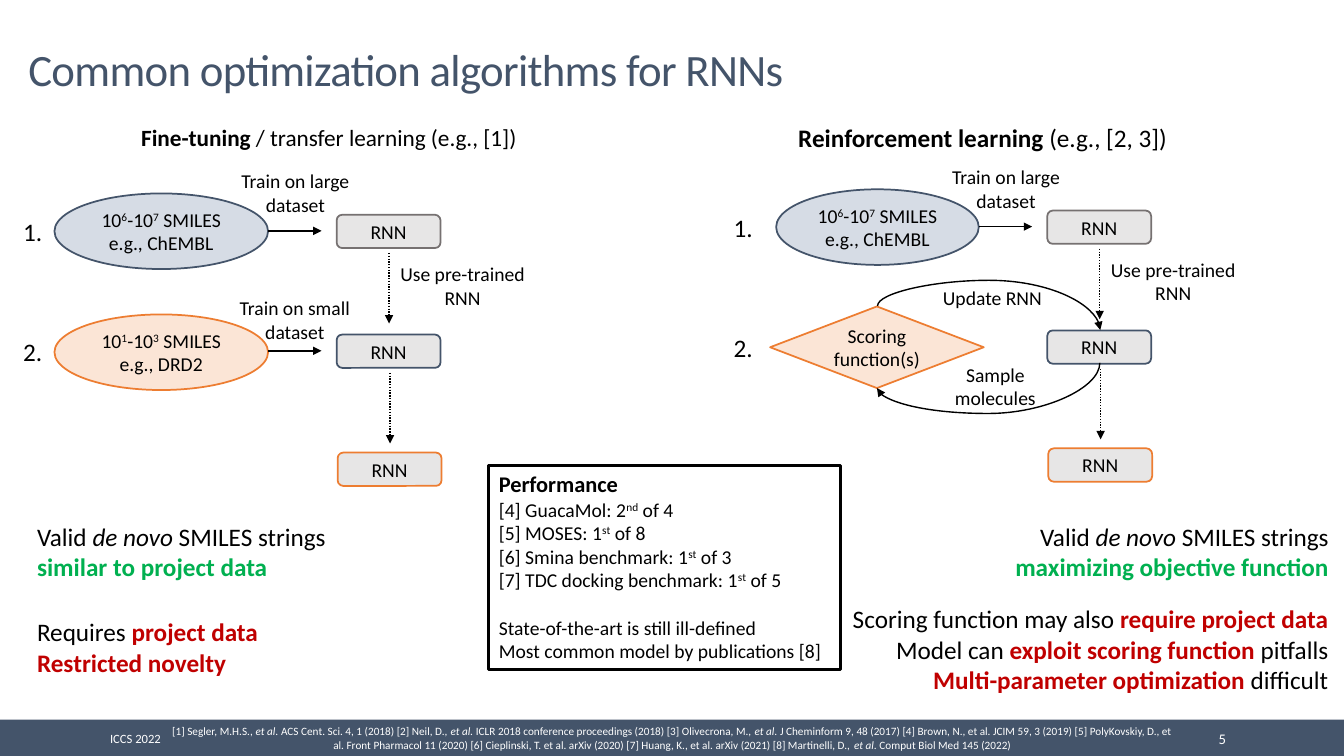
import pptx
import pptx.util
import pptx.dml.color
import pptx.enum.dml
import pptx.enum.shapes
import pptx.enum.text
import pptx.oxml.ns
import lxml.etree

Pt = pptx.util.Pt
SHAPE = pptx.enum.shapes.MSO_SHAPE
CONNECTOR = pptx.enum.shapes.MSO_CONNECTOR
ALIGN = pptx.enum.text.PP_ALIGN
ANCHOR = pptx.enum.text.MSO_ANCHOR

BLACK, WHITE, NAVY, ORANGE, GREY = "000000", "FFFFFF", "44546A", "ED7D31", "767171"
PALE_BLUE, PALE_ORANGE, PALE_GREY = "D6DCE5", "FBE5D6", "E7E6E6"
GREEN, RED = "00B050", "C00000"


def rgb(value):
    return pptx.dml.color.RGBColor.from_string(value)


def add_xml(parent, tag, **attrs):
    return lxml.etree.SubElement(parent, pptx.oxml.ns.qn(tag), attrs)


class SlideBuilder:
    """Holds the slide and its style, and adds one kind of element per method."""

    def __init__(self, prs, font="Calibri"):
        self.slide = prs.slides.add_slide(prs.slide_layouts[5])
        self.font = font

    def style(self, font, size, color, bold=None):
        font.name, font.size, font.bold = self.font, Pt(size), bold
        font.color.rgb = rgb(color)

    def set_text(self, tf, paragraphs, size=14, color=BLACK, align=ALIGN.CENTER,
                 anchor=ANCHOR.TOP, wrap=True, spacing=None):
        tf.word_wrap, tf.vertical_anchor = wrap, anchor
        tf.auto_size = pptx.enum.text.MSO_AUTO_SIZE.NONE
        for i, runs in enumerate(paragraphs):
            p = tf.paragraphs[0] if i == 0 else tf.add_paragraph()
            p.alignment, p.line_spacing = align, spacing
            self.style(p.font, size, color)
            for run in [runs] if isinstance(runs, str) else runs:
                text, look = (run, "") if isinstance(run, str) else run
                r = p.add_run()
                r.text = text
                if look in (GREEN, RED):
                    r.font.bold, r.font.color.rgb = True, rgb(look)
                elif look == "bold":
                    r.font.bold = True
                elif look == "italic":
                    r.font.italic = True
                elif look == "super":
                    r._r.get_or_add_rPr().set("baseline", "30000")

    def title(self, text, x, y, w, h):
        sp = self.slide.shapes.title
        sp.left, sp.top, sp.width, sp.height = Pt(x), Pt(y), Pt(w), Pt(h)
        self.set_text(sp.text_frame, [text], 32, NAVY, ALIGN.LEFT, ANCHOR.MIDDLE, spacing=0.85)
        sp.text_frame.paragraphs[0].runs[0]._r.get_or_add_rPr().set("spc", "-50")

    def text(self, x, y, w, h, paragraphs, inset=None, **style):
        tf = self.slide.shapes.add_textbox(Pt(x), Pt(y), Pt(w), Pt(h)).text_frame
        if inset is not None:
            tf.margin_left = tf.margin_right = Pt(inset)
        self.set_text(tf, paragraphs, **style)

    def shape(self, kind, x, y, w, h, fill=None, line=None, width=1.25, paragraphs=(),
              anchor=ANCHOR.MIDDLE, **style):
        sp = self.slide.shapes.add_shape(kind, Pt(x), Pt(y), Pt(w), Pt(h))
        sp.shadow.inherit = False
        if fill:
            sp.fill.solid()
            sp.fill.fore_color.rgb = rgb(fill)
        else:
            sp.fill.background()
        if line:
            sp.line.color.rgb, sp.line.width = rgb(line), Pt(width)
        else:
            sp.line.fill.background()
        self.set_text(sp.text_frame, paragraphs, anchor=anchor, **style)
        return sp

    def arrow(self, x1, y1, x2, y2, dotted=False, kind=CONNECTOR.STRAIGHT):
        cxn = self.slide.shapes.add_connector(kind, Pt(x1), Pt(y1), Pt(x2), Pt(y2))
        cxn.line.color.rgb, cxn.line.width = rgb(BLACK), Pt(1)
        if dotted:
            cxn.line.dash_style = pptx.enum.dml.MSO_LINE.ROUND_DOT
        spPr = cxn._element.spPr
        add_xml(spPr.get_or_add_ln(), "a:tailEnd", type="triangle")
        add_xml(spPr, "a:effectLst")
        return cxn

    def curve(self, x1, y1, x2, y2, degrees, bend):
        spPr = self.arrow(x1, y1, x2, y2, kind=CONNECTOR.CURVE)._element.spPr
        spPr.find(pptx.oxml.ns.qn("a:xfrm")).set("rot", str(degrees * 60000))
        guides = spPr.find(".//" + pptx.oxml.ns.qn("a:avLst"))
        add_xml(guides, "a:gd", name="adj1", fmla=f"val {bend}")


def smiles(low, high, source):
    return [["10", (low, "super"), "-10", (high, "super"), " SMILES"], f"e.g., {source}"]


def draw_pipeline(s, dx, dy, ellipse_x, ellipse_w):
    s.shape(SHAPE.OVAL, ellipse_x, 138.2 + dy, ellipse_w, 54, PALE_BLUE, NAVY,
            paragraphs=smiles("6", "7", "ChEMBL"))
    for x, y, line in ((240.5, 153.4, GREY), (240.5, 239, NAVY), (241.2, 323.3, ORANGE)):
        s.shape(SHAPE.ROUNDED_RECTANGLE, x + dx, y + dy, 74.2, 23.8, PALE_GREY, line,
                paragraphs=["RNN"])
    for number, y in (("1.", 151.2), ("2.", 236.9)):
        s.text(9.4 + dx, y + dy, 28.1, 28.8, [number], size=18, align=ALIGN.LEFT, wrap=False)
    s.arrow(191.5 + dx, 164.9 + dy, 229.7 + dx, 164.9 + dy)
    for x, y in ((277.9, 180.7), (278.6, 266.4)):
        s.arrow(x + dx, y + dy, x + dx, y + dy + 50.4, dotted=True)
    s.text(164.9 + dx, 117.4 + dy, 92.2, 41, ["Train on large dataset"])
    s.text(277.9 + dx, 183.6 + dy, 105.1, 41, ["Use pre-trained", "RNN"])


def draw_headings(s):
    s.title("Common optimization algorithms for RNNs", 13, 16.6, 935.3, 70.6)
    for x, w, size, name, rest in (
            (100.8, 281.5, 16.6, "Fine-tuning", " / transfer learning (e.g., [1])"),
            (570.2, 288, 18, "Reinforcement learning", " (e.g., [2, 3])")):
        s.text(x, 86.4, w, 27.4, [[(name, "bold"), rest]], inset=0, size=size,
               align=ALIGN.LEFT, spacing=0.9)


def draw_fine_tuning(s):
    draw_pipeline(s, 0, 0, 38.9, 152.6)
    s.shape(SHAPE.OVAL, 38.9, 224.6, 152.6, 54, PALE_ORANGE, ORANGE,
            paragraphs=smiles("1", "3", "DRD2"))
    s.arrow(191.5, 250.6, 229.7, 250.6)
    s.text(162.7, 208.1, 95.8, 41, ["Train on small", "dataset"])


def draw_reinforcement(s):
    draw_pipeline(s, 507.6, -3, 554.4, 144.7)
    s.shape(SHAPE.DIAMOND, 550.1, 218.9, 152.6, 58.3, PALE_ORANGE, ORANGE,
            paragraphs=["Scoring function(s)"])
    s.curve(697, 188.6, 715, 347.8, 90, 200800)
    s.curve(715, 147.6, 697.7, 306.7, 270, -105600)
    s.text(663.1, 255.6, 95.8, 41, ["Sample molecules"])
    s.text(661, 200.9, 95.8, 24.5, ["Update RNN"])


def draw_verdicts(s):
    valid = ["Valid ", ("de novo ", "italic"), "SMILES strings "]
    for x, y, w, h, align, paragraphs in (
            (19.4, 368.6, 226.1, 51.1, ALIGN.LEFT,
             [valid + [("similar to project data", GREEN)]]),
            (711.4, 368.6, 244.8, 51.1, ALIGN.RIGHT,
             [valid + [("maximizing objective function", GREEN)]]),
            (19.4, 437, 226.1, 51.1, ALIGN.LEFT,
             [["Requires ", ("project data", RED)], [("Restricted novelty", RED)]]),
            (599.8, 427.7, 356, 72.7, ALIGN.RIGHT,
             [["Scoring function may also ", ("require project data", RED)],
              ["Model can ", ("exploit scoring function", RED), " pitfalls"],
              [("Multi-parameter optimization", RED), " difficult"]])):
        s.text(x, y, w, h, paragraphs, size=18, align=align)


def draw_performance(s):
    ranks = (("[4] GuacaMol: 2", "nd", 4), ("[5] MOSES: 1", "st", 8),
             ("[6] Smina benchmark: 1", "st", 3), ("[7] TDC docking benchmark: 1", "st", 5))
    rows = [[name, (suffix, "super"), f" of {total}"] for name, suffix, total in ranks]
    sp = s.shape(SHAPE.RECTANGLE, 349.2, 332.6, 251.3, 145.4, line=BLACK, width=2.25,
                 paragraphs=["Performance", *rows, "State-of-the-art is still ill-defined",
                             "Most common model by publications [8]"],
                 anchor=ANCHOR.TOP, align=ALIGN.LEFT)
    heading, closing = sp.text_frame.paragraphs[0], sp.text_frame.paragraphs[5]
    s.style(heading.font, 16, BLACK, bold=True)
    closing.space_before = Pt(17)


def draw_footer(s):
    s.shape(SHAPE.RECTANGLE, 0, 514.1, 960, 25.9, NAVY)
    s.text(25.9, 518.4, 141.8, 18.7, ["ICCS 2022"], size=9, color=WHITE, anchor=ANCHOR.MIDDLE)
    s.text(779.8, 518.4, 103, 18.7, ["5"], size=10.5, color=WHITE, align=ALIGN.RIGHT,
           anchor=ANCHOR.MIDDLE)
    et_al = ("et al. ", "italic")
    references = [
        "[1] Segler, M.H.S., ", et_al, "ACS Cent. Sci. 4, 1 (2018) [2] Neil, D., ", et_al,
        "ICLR 2018 conference proceedings (2018) [3] Olivecrona, M., ", et_al,
        "J Cheminform 9, 48 (2017) [4] Brown, N., et al. JCIM 59, 3 (2019) "
        "[5] PolyKovskiy, D., et al. Front Pharmacol 11 (2020) "
        "[6] Cieplinski, T. et al. arXiv (2020) [7] Huang, K., et al. arXiv (2021) "
        "[8] Martinelli, D., ", et_al, "Comput Biol Med 145 (2022)"]
    s.text(115.2, 514.1, 730.1, 25.9, [references], size=8, color=WHITE)


def main():
    prs = pptx.Presentation()
    prs.slide_width, prs.slide_height = Pt(960), Pt(540)
    s = SlideBuilder(prs)
    draw_headings(s)
    draw_fine_tuning(s)
    draw_reinforcement(s)
    draw_verdicts(s)
    draw_performance(s)
    draw_footer(s)
    prs.save("out.pptx")


if __name__ == "__main__":
    main()
